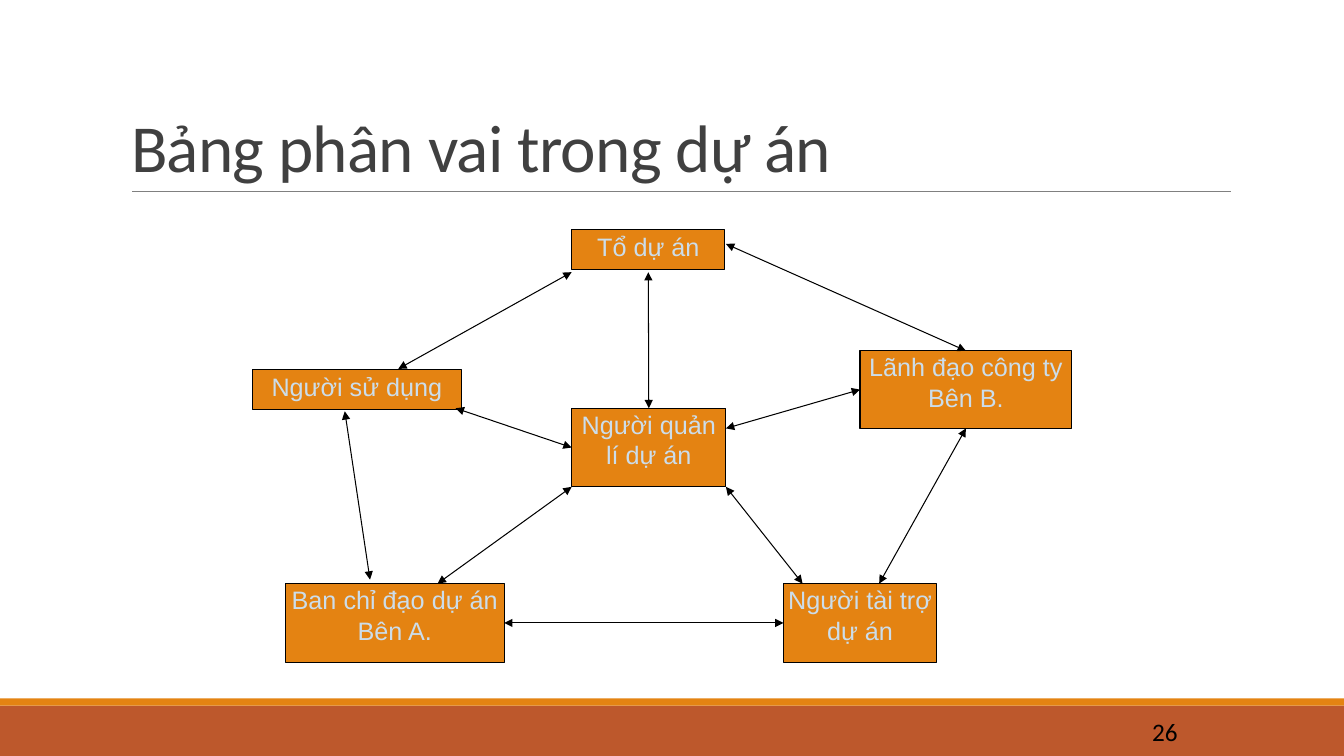
"""Build the slide showing the roles in a project and the links between them."""
import pptx
import pptx.util
import pptx.dml.color
import pptx.enum.shapes
import pptx.enum.text
import pptx.oxml.ns
import lxml.etree

Inches = pptx.util.Inches
Pt = pptx.util.Pt
ALIGN = pptx.enum.text.PP_ALIGN
ANCHOR = pptx.enum.text.MSO_ANCHOR
TOP, LEFT, BOTTOM, RIGHT = range(4)

TITLE = "Bảng phân vai trong dự án"
PAGE_NUMBER = "26"
ROLES = {
    "user": ("Người sử dụng", (2.5, 3.67, 2.08, 0.39)),
    "team": ("Tổ dự án", (5.67, 2.28, 1.52, 0.39)),
    "company": ("Lãnh đạo công ty Bên B.", (8.53, 3.48, 2.1, 0.77)),
    "board": ("Ban chỉ đạo dự án Bên A.", (2.83, 5.79, 2.17, 0.78)),
    "sponsor": ("Người tài trợ dự án", (7.77, 5.79, 1.52, 0.78)),
    "manager": ("Người quản lí dự án", (5.67, 4.05, 1.53, 0.78)),
}
LINKS = [
    (("board", RIGHT), ("sponsor", LEFT)),
    ((4.52, 4.05), ("manager", LEFT)),
    ((4.34, 5.79), (5.67, 4.83)),
    ((7.2, 4.83), (7.96, 5.79)),
    (("company", BOTTOM), (8.72, 5.79)),
    ((7.2, 4.25), ("company", LEFT)),
    (("manager", TOP), (6.43, 2.7)),
    ((3.95, 3.66), (5.67, 2.7)),
    ((3.42, 4.08), (3.67, 5.75)),
    ((7.2, 2.42), ("company", TOP)),
]
THEME = {
    "band": "BD582C", "accent": "E48312", "rule": "808080", "line": "000000",
    "rule_width": 0.5, "line_width": 0.75,
    "title": {"name": "Calibri", "size": 48, "color": "404040"},
    "number": {"name": "Calibri", "size": 18, "color": "000000"},
    "role": {"name": "Arial", "size": 18, "color": "CCDDEA"},
}


def color(value):
    """Turn a hex string into a colour."""
    return pptx.dml.color.RGBColor.from_string(value)


def apply(target, values):
    """Set each attribute in a dict of format values."""
    for name, value in values.items():
        setattr(target, name, value)


def write(shape, text, style, frame_format, paragraph_format):
    """Write one formatted paragraph into a shape."""
    frame = shape.text_frame
    apply(frame, {"word_wrap": True, "auto_size": pptx.enum.text.MSO_AUTO_SIZE.NONE, **frame_format})
    paragraph = frame.paragraphs[0]
    apply(paragraph, paragraph_format)
    run = paragraph.add_run()
    run.text = text
    apply(run.font, {"name": style["name"], "size": Pt(style["size"])})
    run.font.color.rgb = color(style["color"])
    return paragraph


def add_box(slide, place, fill, outline=None):
    """Add a flat rectangle."""
    shape = slide.shapes.add_shape(pptx.enum.shapes.MSO_SHAPE.RECTANGLE, *map(Inches, place))
    shape.shadow.inherit = False
    shape.fill.solid()
    shape.fill.fore_color.rgb = color(fill)
    if outline:
        shape.line.color.rgb = color(outline)
        shape.line.width = Pt(THEME["line_width"])
    else:
        shape.line.fill.background()
    return shape


def add_line(slide, start, end, stroke, width):
    """Add a straight connector without a shadow."""
    line = slide.shapes.add_connector(
        pptx.enum.shapes.MSO_CONNECTOR.STRAIGHT, *map(Inches, (*start, *end)))
    line.line.color.rgb = color(stroke)
    line.line.width = Pt(width)
    lxml.etree.SubElement(line._element.spPr, pptx.oxml.ns.qn("a:effectLst"))
    return line


def locate(end):
    """Give the point of a link end, which is a point or a role and side."""
    if end[0] not in ROLES:
        return end
    left, top, width, height = ROLES[end[0]][1]
    across, down = {TOP: (0.5, 0), LEFT: (0, 0.5), BOTTOM: (0.5, 1), RIGHT: (1, 0.5)}[end[1]]
    return left + across * width, top + down * height


def add_link(slide, boxes, start, end):
    """Add a double arrow and join it to the boxes it names."""
    link = add_line(slide, locate(start), locate(end), THEME["line"], THEME["line_width"])
    for target, connect in ((start, link.begin_connect), (end, link.end_connect)):
        if target[0] in boxes:
            connect(boxes[target[0]], target[1])
    outline = link.line._get_or_add_ln()
    for tag in ("a:headEnd", "a:tailEnd"):
        lxml.etree.SubElement(outline, pptx.oxml.ns.qn(tag), type="triangle")


def main():
    """Assemble and save the slide."""
    presentation = pptx.Presentation()
    apply(presentation, {"slide_width": Inches(13.33), "slide_height": Inches(7.5)})
    slide = presentation.slides.add_slide(presentation.slide_layouts[5])

    add_box(slide, (0, 7, 13.33, 0.5), THEME["band"])
    add_box(slide, (0, 6.93, 13.33, 0.07), THEME["accent"])
    add_line(slide, (1.31, 1.9), (12.21, 1.9), THEME["rule"], THEME["rule_width"])

    title = slide.shapes.title
    apply(title, {"left": Inches(1.2), "top": Inches(0.31),
                  "width": Inches(11), "height": Inches(1.59)})
    paragraph = write(title, TITLE, THEME["title"], {"vertical_anchor": ANCHOR.BOTTOM},
                      {"alignment": ALIGN.LEFT, "line_spacing": 0.85})
    paragraph.runs[0].font._element.set("spc", "-50")

    number = slide.shapes.add_textbox(*map(Inches, (10.83, 7.06, 1.43, 0.4)))
    paragraph = write(number, PAGE_NUMBER, THEME["number"], {"vertical_anchor": ANCHOR.MIDDLE},
                      {"alignment": ALIGN.LEFT})
    paragraph._p.get_or_add_pPr().set("marL", str(Inches(0.5)))

    role_frame = {"vertical_anchor": ANCHOR.TOP,
                  "margin_left": Inches(0.02), "margin_right": Inches(0.02),
                  "margin_top": Inches(0.01), "margin_bottom": Inches(0.01)}
    boxes = {}
    for role, (text, place) in ROLES.items():
        boxes[role] = add_box(slide, place, THEME["accent"], THEME["line"])
        write(boxes[role], text, THEME["role"], role_frame, {"alignment": ALIGN.CENTER})
    for start, end in LINKS:
        add_link(slide, boxes, start, end)

    presentation.save("out.pptx")


if __name__ == "__main__":
    main()
